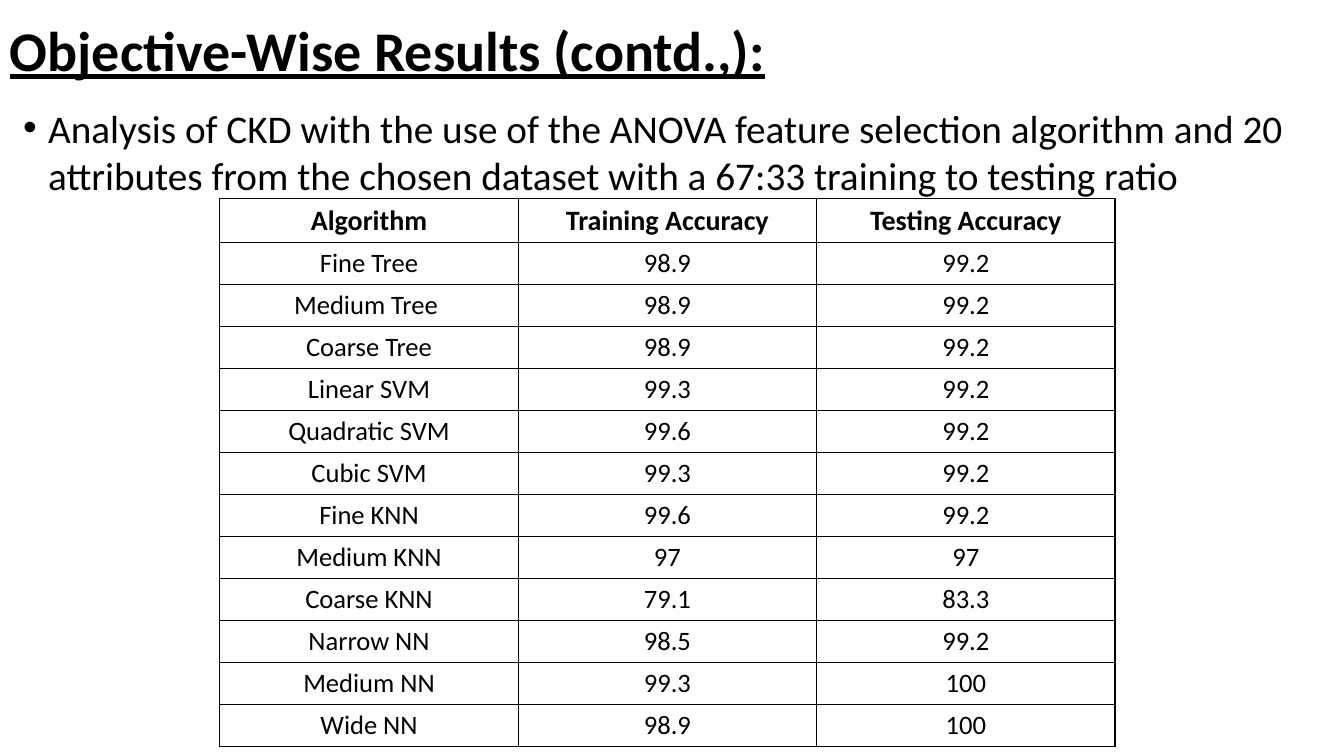
from lxml import etree
from pptx import Presentation
from pptx import util as u
from pptx.dml.color import RGBColor
from pptx.enum import text
from pptx.oxml.ns import qn

COLORS = {"ink": "000000", "border": "000000"}
HEADERS = ("Algorithm", "Training Accuracy", "Testing Accuracy")
RESULTS = [
    ("Fine Tree", "98.9", "99.2"),
    ("Medium Tree ", "98.9", "99.2"),
    ("Coarse Tree", "98.9", "99.2"),
    ("Linear SVM", "99.3", "99.2"),
    ("Quadratic SVM", "99.6", "99.2"),
    ("Cubic SVM", "99.3", "99.2"),
    ("Fine KNN", "99.6", "99.2"),
    ("Medium KNN", "97", "97"),
    ("Coarse KNN", "79.1", "83.3"),
    ("Narrow NN", "98.5", "99.2"),
    ("Medium NN", "99.3", "100"),
    ("Wide NN", "98.9", "100"),
]


class ResultsSlide:
    """Holds the slide and its style, and adds each kind of element."""

    font_name = "Calibri"

    def __init__(self, slide):
        self.slide = slide

    def style(self, paragraph, size, bold=False, underline=False):
        for run in paragraph.runs:
            font = run.font
            font.name, font.size = self.font_name, u.Pt(size)
            font.bold, font.underline = bold, underline
            font.color.rgb = RGBColor.from_string(COLORS["ink"])

    def text_box(self, left, top, width, height, content, anchor):
        box = self.slide.shapes.add_textbox(
            u.Inches(left), u.Inches(top), u.Inches(width), u.Inches(height))
        frame = box.text_frame
        frame.word_wrap = True
        frame.vertical_anchor = anchor
        frame.text = content
        return frame

    def title(self, content):
        frame = self.text_box(0, -0.2, 11.5, 1.45, content, text.MSO_ANCHOR.MIDDLE)
        heading = frame.paragraphs[0]
        heading.line_spacing = 0.9
        self.style(heading, 40, bold=True, underline=True)

    def bullet(self, content):
        frame = self.text_box(0.13, 0.96, 12.99, 1.65, content, text.MSO_ANCHOR.TOP)
        frame.margin_top = u.Inches(0.07)
        point = frame.paragraphs[0]
        props = point._p.get_or_add_pPr()
        props.set("marL", str(u.Inches(0.25)))
        props.set("indent", str(-u.Inches(0.25)))
        etree.SubElement(props, qn("a:buFont")).set("typeface", "Arial")
        etree.SubElement(props, qn("a:buChar")).set("char", "•")
        self.style(point, 28)

    def border(self, cell):
        props = cell._tc.get_or_add_tcPr()
        for side in ("lnL", "lnR", "lnT", "lnB"):
            line = etree.SubElement(props, qn(f"a:{side}"), w=str(u.Pt(1)))
            fill = etree.SubElement(line, qn("a:solidFill"))
            etree.SubElement(fill, qn("a:srgbClr")).set("val", COLORS["border"])

    def table(self, headers, rows):
        records = [headers, *rows]
        column_width, row_height = u.Inches(2.96), u.Inches(0.41)
        grid = self.slide.shapes.add_table(
            len(records), len(headers), u.Inches(2.18), u.Inches(1.97),
            column_width * len(headers), row_height * len(records)).table
        grid.horz_banding = False
        for column in grid.columns:
            column.width = column_width
        for row, record in enumerate(records):
            grid.rows[row].height = row_height
            for column, value in enumerate(record):
                cell = grid.cell(row, column)
                cell.text = value
                entry = cell.text_frame.paragraphs[0]
                entry.alignment = text.PP_ALIGN.CENTER
                self.style(entry, 19 if row else 20, bold=row == 0)
                self.border(cell)
                cell.fill.background()


def main():
    deck = Presentation()
    deck.slide_width, deck.slide_height = u.Inches(13.33), u.Inches(7.5)
    results = ResultsSlide(deck.slides.add_slide(deck.slide_layouts[6]))

    # Heading and summary
    results.title("Objective-Wise Results (contd.,):")
    results.bullet("Analysis of CKD with the use of the ANOVA feature selection "
                   "algorithm and 20 attributes from the chosen dataset with a "
                   "67:33 training to testing ratio")

    # Accuracy of each algorithm
    results.table(HEADERS, RESULTS)

    deck.save("out.pptx")


if __name__ == "__main__":
    main()
